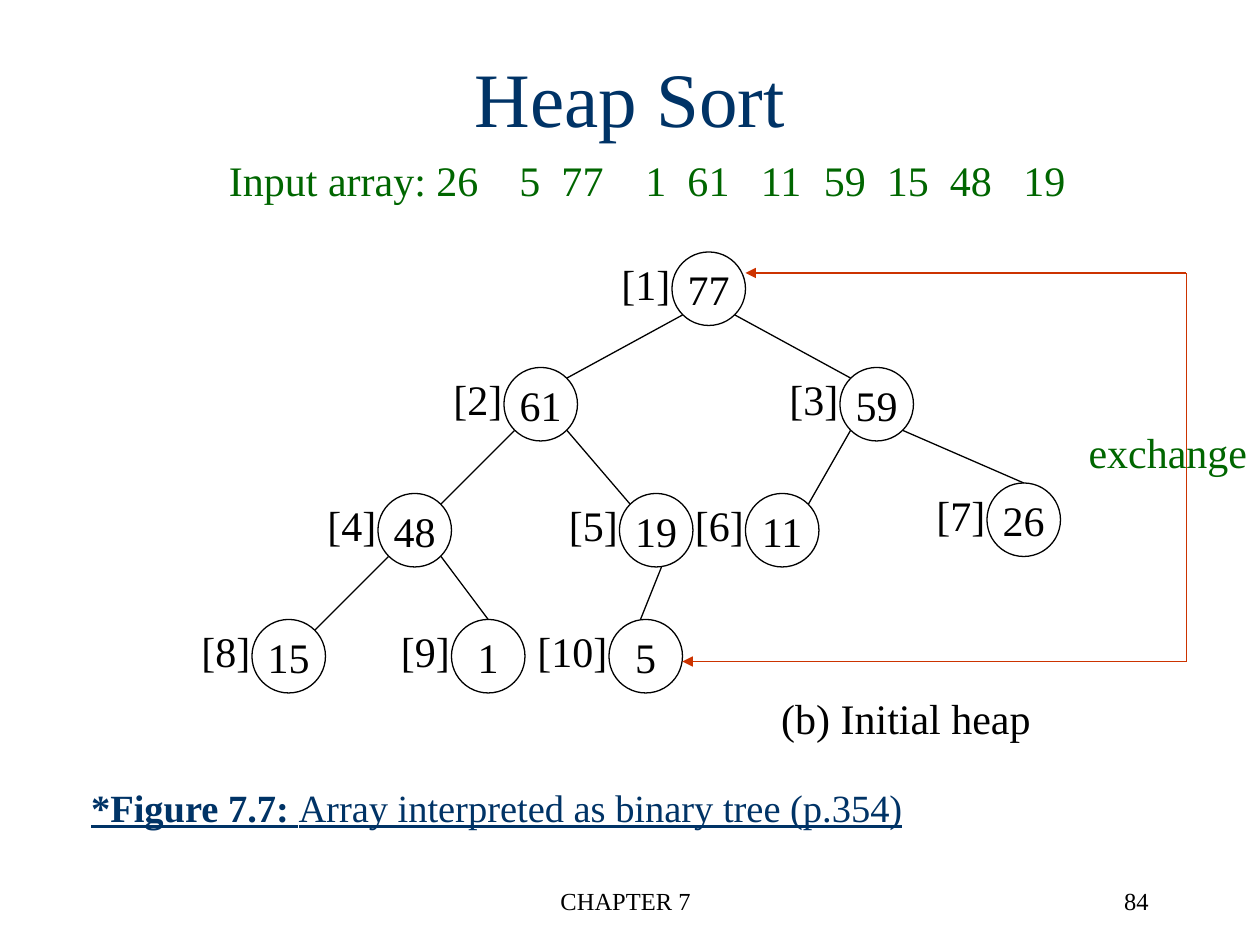
from dataclasses import dataclass

from lxml.etree import SubElement
from pptx import Presentation
from pptx.dml.color import RGBColor
from pptx.enum.shapes import MSO_CONNECTOR, MSO_SHAPE
from pptx.enum.text import MSO_ANCHOR, MSO_AUTO_SIZE, PP_ALIGN
from pptx.oxml.ns import qn
from pptx.shapes.connector import Connector
from pptx.shapes.shapetree import GroupShapes, SlideShapes
from pptx.text.text import TextFrame
from pptx.util import Pt

BLACK = RGBColor(0x00, 0x00, 0x00)
NAVY = RGBColor(0x00, 0x33, 0x66)
GREEN = RGBColor(0x00, 0x66, 0x00)
RED = RGBColor(0xCC, 0x33, 0x00)

FONT = "Times New Roman"
DIAMETER = 42
TOP = (21, 0)
TOP_LEFT = (6, 6)
TOP_RIGHT = (36, 6)
BOTTOM_LEFT = (6, 36)
BOTTOM_RIGHT = (36, 36)

Point = tuple[float, float]


@dataclass(frozen=True)
class Run:
    """A piece of text with one character style."""

    text: str
    bold: bool = False
    underline: bool = False


@dataclass(frozen=True)
class Caption:
    """A text box with one paragraph."""

    runs: tuple[Run, ...]
    left: float
    top: float
    width: float
    height: float = 36
    size: float = 24
    color: RGBColor = BLACK
    alignment: PP_ALIGN = PP_ALIGN.LEFT
    anchor: MSO_ANCHOR = MSO_ANCHOR.TOP
    wrap: bool = True
    grow: bool = False
    tabs: tuple[float, ...] = ()


@dataclass(frozen=True)
class Node:
    """A heap node, placed by the top left corner of its circle."""

    value: str
    left: float
    top: float
    label_gap: float = 36


@dataclass(frozen=True)
class Edge:
    """A branch between two heap positions, with offsets inside each circle."""

    parent: int
    start: Point
    child: int
    end: Point


NODES = (
    Node("77", 384, 144),
    Node("61", 288, 210),
    Node("59", 480, 210),
    Node("48", 216, 282),
    Node("19", 354, 282),
    Node("11", 426, 282),
    Node("26", 564, 276),
    Node("15", 144, 354),
    Node("1", 258, 354),
    Node("5", 348, 354, label_gap=48),
)

EDGES = (
    Edge(1, BOTTOM_LEFT, 2, TOP_RIGHT),
    Edge(1, BOTTOM_RIGHT, 3, TOP_LEFT),
    Edge(2, BOTTOM_LEFT, 4, TOP_RIGHT),
    Edge(2, BOTTOM_RIGHT, 5, TOP_LEFT),
    Edge(4, BOTTOM_LEFT, 8, TOP_RIGHT),
    Edge(4, BOTTOM_RIGHT, 9, TOP),
    Edge(5, (24, 42), 10, (18, 0)),
    Edge(3, BOTTOM_LEFT, 6, TOP_RIGHT),
    Edge(3, BOTTOM_RIGHT, 7, TOP),
)

CAPTIONS = (
    Caption((Run("CHAPTER 7"),), 243.5, 502.5, 228, size=14, alignment=PP_ALIGN.CENTER),
    Caption((Run("84"),), 513.5, 502.5, 150, size=14, alignment=PP_ALIGN.RIGHT),
    Caption(
        (
            Run("*Figure 7.7: ", bold=True, underline=True),
            Run("Array interpreted as binary tree (p.354)", underline=True),
        ),
        45, 416, 690, 90, size=22, color=NAVY, anchor=MSO_ANCHOR.MIDDLE,
    ),
    Caption((Run("exchange"),), 615, 240, 105, color=GREEN, wrap=False, grow=True),
    Caption(
        (Run("(b) Initial heap"),), 438.5, 392, 158.5,
        alignment=PP_ALIGN.CENTER, grow=True,
    ),
    Caption(
        (Run("Input array: 26\t5\t77\t1\t61\t11\t59\t15\t48\t19"),),
        123.75, 85, 497, color=GREEN, grow=True,
        tabs=(166, 190, 238, 262, 304, 340, 376, 412, 454),
    ),
    Caption(
        (Run("Heap Sort"),), 54, 10, 612, 90, size=44, color=NAVY,
        alignment=PP_ALIGN.CENTER, anchor=MSO_ANCHOR.MIDDLE,
    ),
)


def write_text(
    frame: TextFrame,
    runs: tuple[Run, ...],
    size: float,
    color: RGBColor,
    alignment: PP_ALIGN,
    tabs: tuple[float, ...] = (),
) -> None:
    """Fill the first paragraph of a text frame run by run."""
    paragraph = frame.paragraphs[0]
    paragraph.alignment = alignment
    if tabs:
        properties = paragraph._p.get_or_add_pPr()
        tab_list = SubElement(properties, qn("a:tabLst"))
        for position in tabs:
            SubElement(tab_list, qn("a:tab"), pos=str(Pt(position)), algn="l")
    for item in runs:
        run = paragraph.add_run()
        run.text = item.text
        run.font.name = FONT
        run.font.size = Pt(size)
        run.font.bold = item.bold
        run.font.underline = item.underline
        run.font.color.rgb = color


def add_caption(shapes: SlideShapes | GroupShapes, caption: Caption) -> None:
    """Add a text box for a caption."""
    box = shapes.add_textbox(
        Pt(caption.left), Pt(caption.top), Pt(caption.width), Pt(caption.height)
    )
    frame = box.text_frame
    frame.word_wrap = caption.wrap
    frame.vertical_anchor = caption.anchor
    frame.auto_size = (
        MSO_AUTO_SIZE.SHAPE_TO_FIT_TEXT if caption.grow else MSO_AUTO_SIZE.NONE
    )
    write_text(
        frame, caption.runs, caption.size, caption.color, caption.alignment, caption.tabs
    )


def add_node(shapes: GroupShapes, position: int, node: Node) -> None:
    """Add a heap node circle and its bracketed array position."""
    circle = shapes.add_shape(
        MSO_SHAPE.OVAL, Pt(node.left), Pt(node.top), Pt(DIAMETER), Pt(DIAMETER)
    )
    circle.shadow.inherit = False
    circle.fill.background()
    circle.line.color.rgb = BLACK
    circle.line.width = Pt(0.75)
    frame = circle.text_frame
    frame.word_wrap = False
    frame.vertical_anchor = MSO_ANCHOR.MIDDLE
    write_text(frame, (Run(node.value),), 24, BLACK, PP_ALIGN.CENTER)
    add_caption(
        shapes,
        Caption(
            (Run(f"[{position}]"),), node.left - node.label_gap, node.top,
            node.label_gap + 6.5, wrap=False, grow=True,
        ),
    )


def add_line(
    shapes: SlideShapes | GroupShapes, start: Point, end: Point, color: RGBColor
) -> Connector:
    """Add a thin straight line without a shadow."""
    line = shapes.add_connector(
        MSO_CONNECTOR.STRAIGHT, Pt(start[0]), Pt(start[1]), Pt(end[0]), Pt(end[1])
    )
    line.line.color.rgb = color
    line.line.width = Pt(0.75)
    SubElement(line._element.spPr, qn("a:effectLst"))
    return line


def add_arrow(shapes: SlideShapes, start: Point, end: Point, color: RGBColor) -> None:
    """Add a line with a triangle at its end."""
    arrow = add_line(shapes, start, end, color)
    SubElement(arrow.line._get_or_add_ln(), qn("a:tailEnd"), type="triangle")


def add_edge(shapes: GroupShapes, edge: Edge) -> None:
    """Add the branch from a parent node to its child."""
    parent, child = NODES[edge.parent - 1], NODES[edge.child - 1]
    start = (parent.left + edge.start[0], parent.top + edge.start[1])
    end = (child.left + edge.end[0], child.top + edge.end[1])
    add_line(shapes, start, end, BLACK)


def main() -> None:
    """Build the heap sort slide and save it."""
    presentation = Presentation()
    presentation.slide_width, presentation.slide_height = Pt(720), Pt(540)
    slide = presentation.slides.add_slide(presentation.slide_layouts[6])
    tree = slide.shapes.add_group_shape().shapes
    for position, node in enumerate(NODES, start=1):
        add_node(tree, position, node)
    for edge in EDGES:
        add_edge(tree, edge)
    lower_corner, upper_corner = (678, 378), (678, 156)
    add_arrow(slide.shapes, lower_corner, (390, 378), RED)
    add_line(slide.shapes, lower_corner, upper_corner, RED)
    add_arrow(slide.shapes, upper_corner, (426, 156), RED)
    for caption in CAPTIONS:
        add_caption(slide.shapes, caption)
    presentation.save("out.pptx")


if __name__ == "__main__":
    main()
